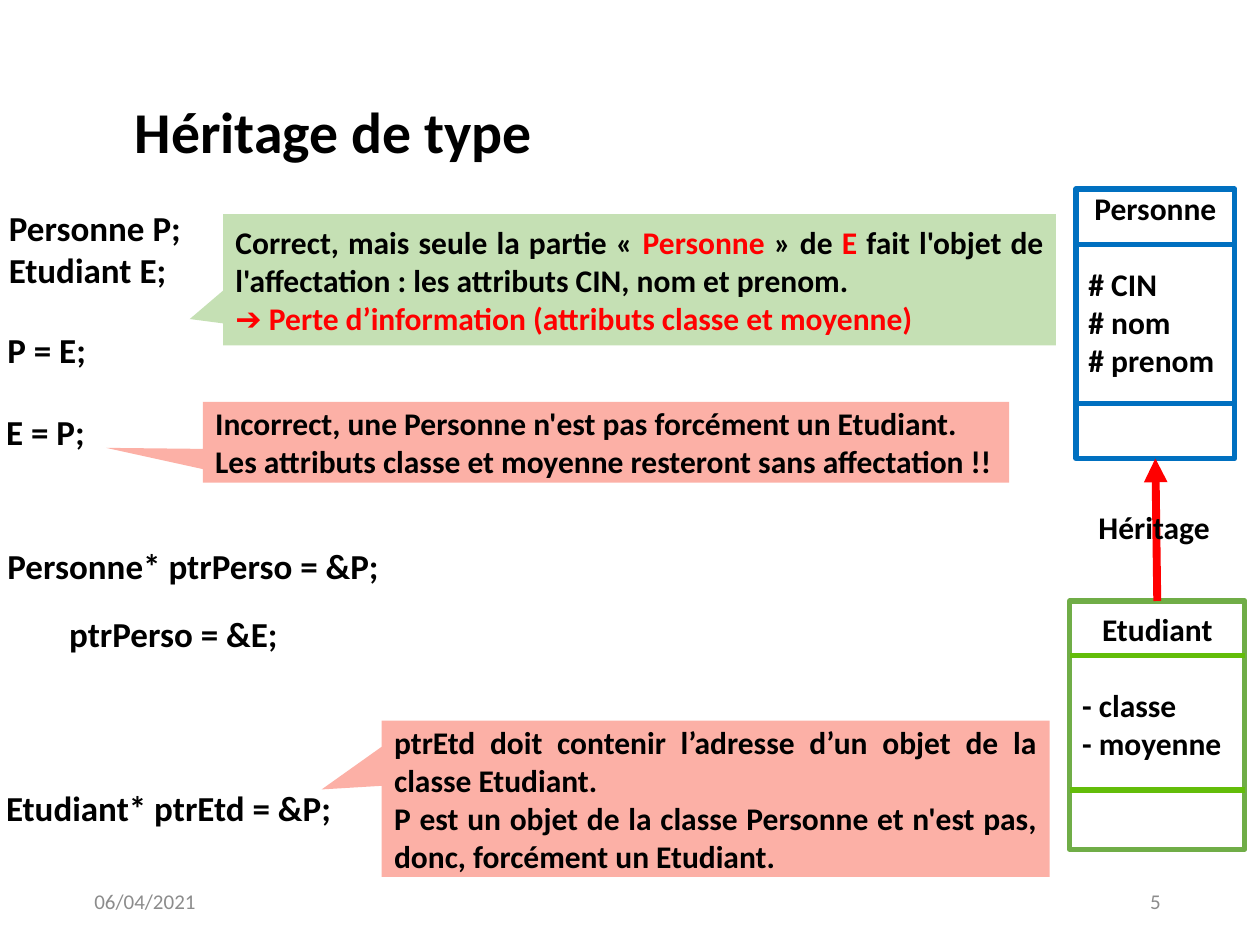
from pptx import Presentation
from pptx.dml.color import RGBColor
from pptx.enum.shapes import MSO_CONNECTOR, MSO_SHAPE
from pptx.enum.text import MSO_ANCHOR, PP_ALIGN
from pptx.oxml.ns import qn
from pptx.util import Inches, Pt
from lxml.etree import SubElement

WIDE, HIGH = Inches(10), Inches(7.5)
LEFT, MID, RIGHT, JUST = PP_ALIGN.LEFT, PP_ALIGN.CENTER, PP_ALIGN.RIGHT, PP_ALIGN.JUSTIFY
BLACK, RED, GRAY, PINK = "000000", "FF0000", "8C8C8C", "FCB0A6"


def color(code):
    return RGBColor.from_string(code)


def across(share):
    return round(WIDE * share / 100)


def down(share):
    return round(HIGH * share / 100)


def place(x, y, w, h):
    return across(x), down(y), across(w), down(h)


def write(shape, paras, size=18, bold=True, ink=BLACK, align=LEFT,
          anchor=MSO_ANCHOR.MIDDLE, inset=None):
    frame = shape.text_frame
    frame.word_wrap = True
    frame.vertical_anchor = anchor
    if inset is not None:
        frame.margin_left = frame.margin_right = Inches(inset)
        frame.margin_top = frame.margin_bottom = Inches(inset)
    for i, runs in enumerate(paras):
        para = frame.paragraphs[0] if i == 0 else frame.add_paragraph()
        para.alignment = align
        for part in [runs] if isinstance(runs, str) else runs:
            text, tint = (part, ink) if isinstance(part, str) else part
            run = para.add_run()
            run.text = text
            font = run.font
            font.name, font.size, font.bold = "Calibri", Pt(size), bold
            font.color.rgb = color(tint)
    return frame


def label(slide, spot, paras, **form):
    box = slide.shapes.add_textbox(*place(*spot))
    write(box, paras, **{"anchor": MSO_ANCHOR.TOP, **form})


def block(slide, kind, spot, fill):
    shape = slide.shapes.add_shape(kind, *place(*spot))
    shape.shadow.inherit = False
    shape.fill.solid()
    shape.fill.fore_color.rgb = color(fill)
    shape.line.fill.background()
    return shape


def callout(slide, spot, tip, fill, paras, **form):
    shape = block(slide, MSO_SHAPE.RECTANGULAR_CALLOUT, spot, fill)
    shape.adjustments[0], shape.adjustments[1] = tip
    write(shape, paras, **form)


def link(slide, start, end, ink, width):
    line = slide.shapes.add_connector(
        MSO_CONNECTOR.STRAIGHT, across(start[0]), down(start[1]),
        across(end[0]), down(end[1]))
    line.line.color.rgb = color(ink)
    line.line.width = Pt(width)
    SubElement(line._element.spPr, qn("a:effectLst"))
    return line


def entity(slide, spot, name, fields, edge, rule, rows, top):
    box = block(slide, MSO_SHAPE.RECTANGLE, spot, "FFFFFF")
    box.line.color.rgb = color(edge)
    box.line.width = Pt(3)
    frame = write(box, [name, *fields], anchor=MSO_ANCHOR.TOP)
    frame.margin_top = Inches(top)
    frame.paragraphs[0].alignment = MID
    frame.paragraphs[1].space_before = Pt(22)
    x, w = spot[0], spot[2]
    for y in rows:
        link(slide, (x, y), (x + w, y), rule, 3)
    return box


def inherit(slide, child, base):
    line = link(slide, (91.9, 63.6), (91.7, 48.53), RED, 4.5)
    line.begin_connect(child, 0)
    line.end_connect(base, 2)
    SubElement(line.line._get_or_add_ln(), qn("a:tailEnd"), type="triangle")


def main():
    deck = Presentation()
    deck.slide_width, deck.slide_height = WIDE, HIGH
    slide = deck.slides.add_slide(deck.slide_layouts[6])

    label(slide, (10.7, 10.13, 82.6, 10.27), ["Héritage de type"], size=33, inset=0)
    for x, text, align in ((6.5, "06/04/2021", LEFT), (70.6, "5", RIGHT)):
        label(slide, (x, 92.67, 22.5, 5.33), [text], size=12, bold=False,
              ink=GRAY, align=align, anchor=MSO_ANCHOR.MIDDLE)

    label(slide, (0.7, 21.87, 14.4, 10.27), ["Personne P;", "Etudiant E;"],
          size=20, align=JUST, inset=0)
    for x, y, w, code in (
        (-0.4, 34.13, 11.3, "P = E;"),
        (-0.5, 42.8, 11.4, "E = P;"),
        (-0.4, 56.93, 31.9, "Personne* ptrPerso = &P;"),
        (4.5, 64.13, 20.1, "ptrPerso = &E;"),
        (-0.5, 82.53, 30, "Etudiant* ptrEtd = &P;"),
    ):
        label(slide, (x, y, w, 5.87), [code], size=20, align=JUST)

    base = entity(slide, (85.4, 20, 12.6, 28.53), "Personne",
                  ["# CIN", "# nom", "# prenom"], "0070C0", "0070C0",
                  (25.87, 42.67), 0)
    child = entity(slide, (84.9, 63.6, 13.9, 26.27), "Etudiant",
                   ["- classe", "- moyenne"], "70AD47", "63BD09",
                   (69.33, 83.6), 0.07)
    inherit(slide, child, base)
    label(slide, (86.2, 53.07, 12.6, 5.33), ["Héritage"])

    callout(slide, (17.7, 22.67, 66.1, 13.87), (-0.54, 0.3), "C5E0B4", [
        ["Correct, mais seule la partie « ", ("Personne", RED), " » de ", ("E", RED),
         " fait l'objet de l'affectation : les attributs CIN, nom et prenom."],
        [("➔ Perte d’information (attributs classe et moyenne)", RED)],
    ], align=JUST)
    callout(slide, (16.1, 42.53, 64, 8.53), (-0.62, 0.07), PINK, [
        "Incorrect, une Personne n'est pas forcément un Etudiant.",
        "Les attributs classe et moyenne resteront sans affectation !!",
    ], align=JUST)
    callout(slide, (30.3, 76.27, 53, 16.53), (-0.59, -0.06), PINK, [
        "ptrEtd doit contenir l’adresse d’un objet de la classe Etudiant.",
        "P est un objet de la classe Personne et n'est pas, donc, forcément un Etudiant.",
    ], align=JUST)

    deck.save("out.pptx")


if __name__ == "__main__":
    main()
